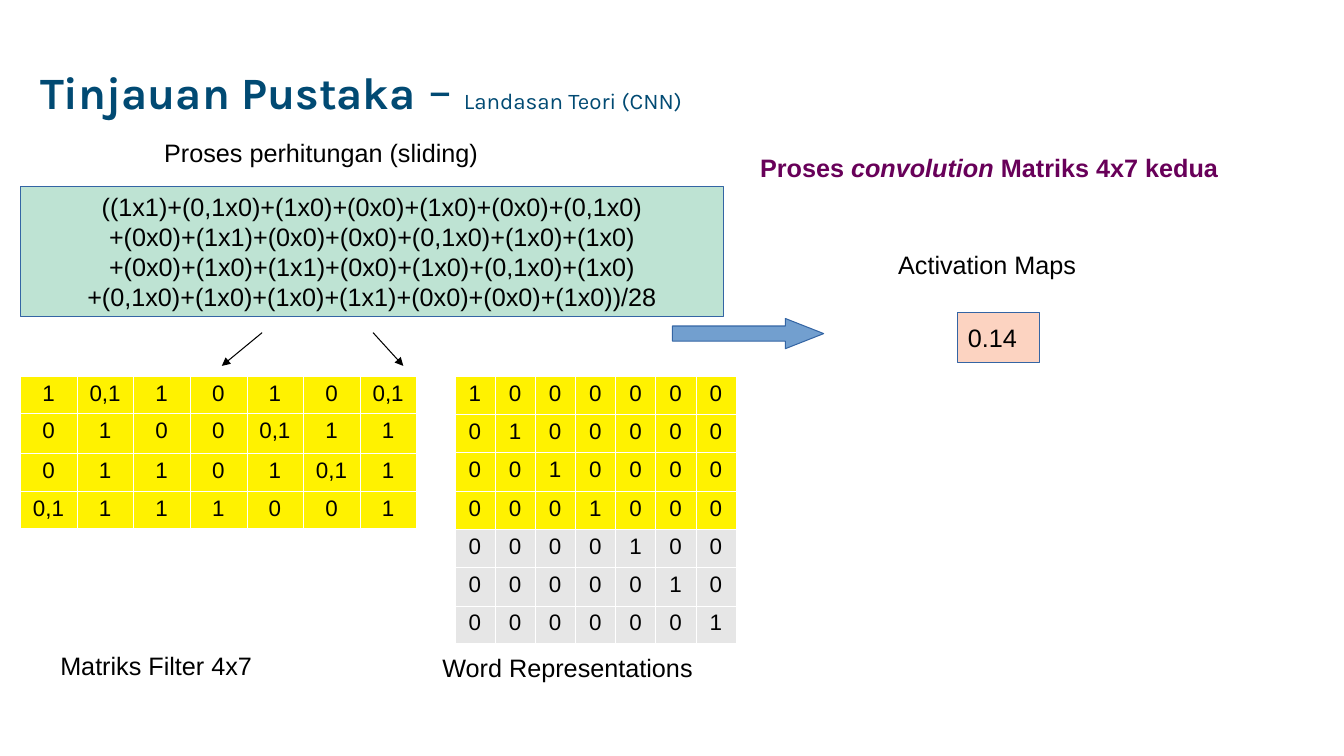
from lxml import etree
from pptx import Presentation
from pptx.dml.color import RGBColor
from pptx.enum import shapes, text
from pptx.oxml.ns import qn
from pptx.util import Inches, Pt

NAVY = RGBColor(0x01, 0x4A, 0x73)
PLUM = RGBColor(0x68, 0x00, 0x59)
BLACK = RGBColor(0, 0, 0)
YELLOW = RGBColor(0xFF, 0xF2, 0x00)
GRAY = RGBColor(0xE6, 0xE6, 0xE6)
MINT = RGBColor(0xBE, 0xE3, 0xD3)
PEACH = RGBColor(0xFC, 0xD3, 0xC1)
BLUE = RGBColor(0x72, 0x9F, 0xCF)
EDGE = RGBColor(0x34, 0x65, 0xA4)

LEFT, CENTER = text.PP_ALIGN.LEFT, text.PP_ALIGN.CENTER
TOP, MIDDLE = text.MSO_ANCHOR.TOP, text.MSO_ANCHOR.MIDDLE

FORMULA = [
    "((1x1)+(0,1x0)+(1x0)+(0x0)+(1x0)+(0x0)+(0,1x0)",
    "+(0x0)+(1x1)+(0x0)+(0x0)+(0,1x0)+(1x0)+(1x0)",
    "+(0x0)+(1x0)+(1x1)+(0x0)+(1x0)+(0,1x0)+(1x0)",
    "+(0,1x0)+(1x0)+(1x0)+(1x1)+(0x0)+(0x0)+(1x0))/28",
]
FILTER = [
    "1 0,1 1 0 1 0 0,1".split(),
    "0 1 0 0 0,1 1 1".split(),
    "0 1 1 0 1 0,1 1".split(),
    "0,1 1 1 1 0 0 1".split(),
]
WORDS = [[str(int(row == col)) for col in range(7)] for row in range(7)]


def write(frame, lines, size=18, font="Arial", color=BLACK, bold=False,
          align=LEFT, anchor=TOP, space=None):
    """Fill a frame; a line is a string or a list of (words, format) runs."""
    frame.word_wrap = True
    frame.vertical_anchor = anchor
    for i, line in enumerate(lines):
        para = frame.add_paragraph() if i else frame.paragraphs[0]
        para.alignment = align
        para.line_spacing = space
        for words, form in [(line, {})] if isinstance(line, str) else line:
            run = para.add_run()
            run.text = words
            run.font.name = font
            run.font.size = Pt(form.get("size", size))
            run.font.bold = form.get("bold", bold)
            run.font.italic = form.get("italic", False)
            run.font.color.rgb = color


def add_label(slide, at, line, **form):
    box = slide.shapes.add_textbox(*map(Inches, at))
    write(box.text_frame, [line], **form)


def add_block(slide, kind, at, fill):
    shape = slide.shapes.add_shape(kind, *map(Inches, at))
    shape.shadow.inherit = False
    shape.fill.solid()
    shape.fill.fore_color.rgb = fill
    shape.line.color.rgb = EDGE
    shape.line.width = Pt(0.75)
    return shape


def add_border(cell):
    """Draw thin white lines on all four sides of a cell."""
    props = cell._tc.get_or_add_tcPr()
    for side in ("a:lnL", "a:lnR", "a:lnT", "a:lnB"):
        line = etree.SubElement(props, qn(side), w=str(Pt(0.06)))
        fill = etree.SubElement(line, qn("a:solidFill"))
        etree.SubElement(fill, qn("a:srgbClr"), val="FFFFFF")


def add_matrix(slide, at, data, heights):
    """Draw a grid of values whose first four rows are highlighted."""
    frame = slide.shapes.add_table(len(data), len(data[0]), *map(Inches, at))
    table = frame.table
    table.first_row = table.horz_banding = False
    for r, (values, height) in enumerate(zip(data, heights)):
        table.rows[r].height = Inches(height)
        for c, value in enumerate(values):
            cell = table.cell(r, c)
            add_border(cell)
            cell.fill.solid()
            cell.fill.fore_color.rgb = YELLOW if r < 4 else GRAY
            write(cell.text_frame, [value], size=16, align=CENTER)


def add_arrow(slide, start, end):
    line = slide.shapes.add_connector(
        shapes.MSO_CONNECTOR.STRAIGHT, *map(Inches, start + end))
    line.line.color.rgb = BLACK
    line.line.width = Pt(0.75)
    etree.SubElement(line.line._get_or_add_ln(), qn("a:tailEnd"), type="triangle")
    etree.SubElement(line._element.spPr, qn("a:effectLst"))


def main():
    deck = Presentation()
    deck.slide_width, deck.slide_height = Inches(13.33), Inches(7.5)
    slide = deck.slides.add_slide(deck.slide_layouts[6])
    rect = shapes.MSO_SHAPE.RECTANGLE

    title = [("Tinjauan Pustaka", {"bold": True}), (" – ", {"size": 36}),
             ("Landasan Teori (CNN)", {"size": 16})]
    add_label(slide, (0.3, 0.2, 7.5, 1.45), title, size=32, font="Karla",
              color=NAVY, anchor=MIDDLE, space=0.9)

    add_matrix(slide, (4.51, 3.73, 2.79, 2.63), WORDS, [0.38] * 6 + [0.37])
    add_matrix(slide, (0.2, 3.73, 3.93, 1.5), FILTER, [0.37, 0.4, 0.37, 0.37])

    formula = add_block(slide, rect, (0.2, 1.85, 6.98, 1.29), MINT)
    write(formula.text_frame, FORMULA, align=CENTER, anchor=MIDDLE)
    arrow = add_block(slide, shapes.MSO_SHAPE.RIGHT_ARROW,
                      (6.67, 3.16, 1.5, 0.3), BLUE)
    arrow.adjustments[1] = 1.27
    result = add_block(slide, rect, (9.5, 3.1, 0.81, 0.5), PEACH)
    write(result.text_frame, ["0.14"], anchor=MIDDLE)

    add_label(slide, (0.5, 6.4, 2.4, 0.38), "Matriks Filter 4x7")
    add_label(slide, (4.29, 6.42, 3.23, 0.38), "Word Representations")
    add_label(slide, (1.53, 1.31, 4.06, 0.38), "Proses perhitungan (sliding)")
    add_label(slide, (8.81, 2.42, 2.43, 0.38), "Activation Maps")

    add_arrow(slide, (2.6, 3.3), (2.2, 3.63))
    add_arrow(slide, (3.7, 3.3), (4, 3.63))

    heading = [("Proses ", {}), ("convolution", {"italic": True}),
               (" Matriks 4x7 kedua", {})]
    add_label(slide, (7.44, 1.46, 5.64, 0.66), heading, color=PLUM, bold=True)
    deck.save("out.pptx")


if __name__ == "__main__":
    main()
